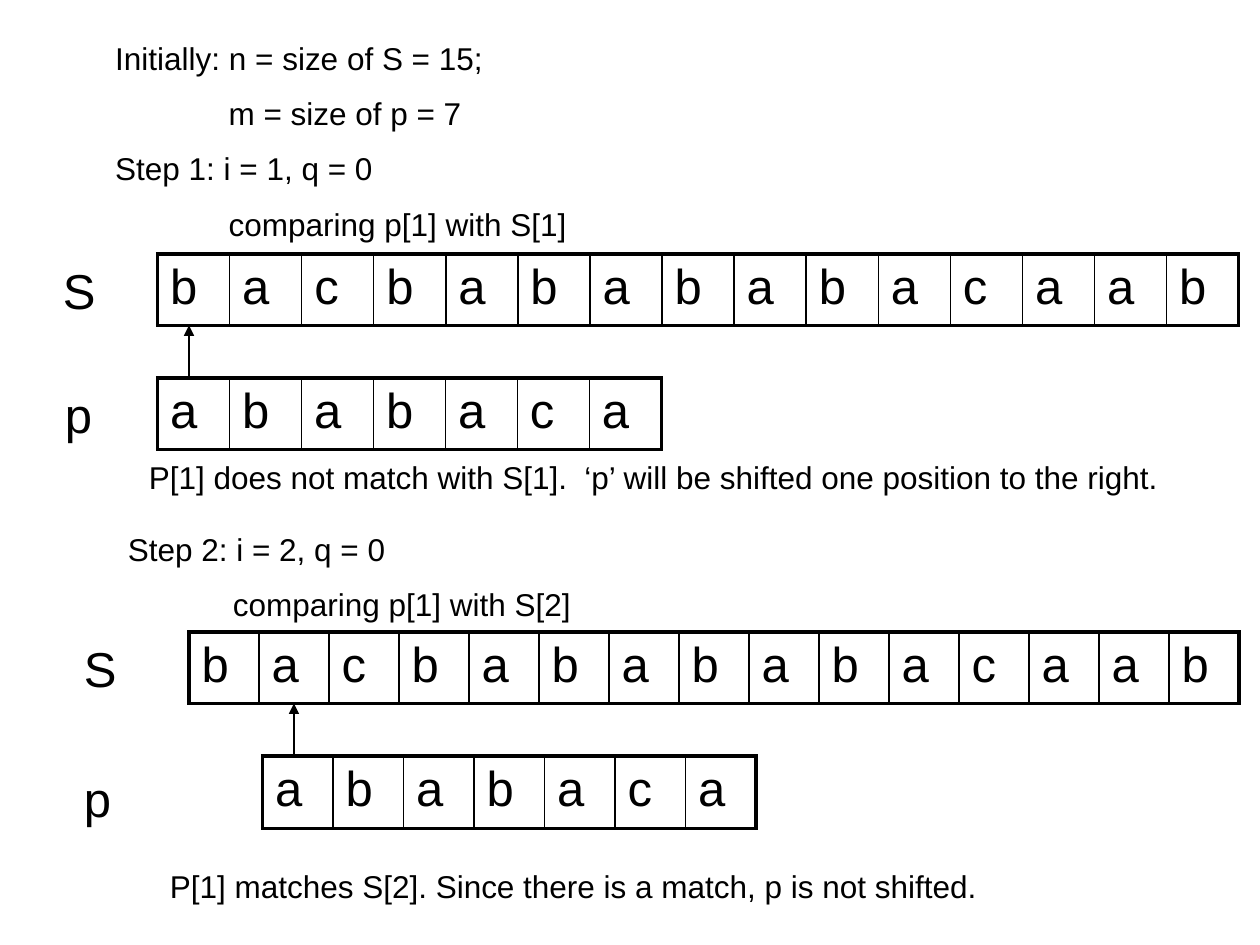
from dataclasses import dataclass

from lxml import etree
from pptx import Presentation
from pptx import util as u
from pptx.dml.color import RGBColor
from pptx.enum import shapes, text
from pptx.oxml import ns


@dataclass(frozen=True)
class Theme:
    font: str = "Arial"
    ink: str = "000000"
    body: int = 18
    symbol: int = 28
    paragraph_gap: int = 10
    outer_border: float = 2.25
    inner_border: float = 1
    arrow: float = 0.75


THEME = Theme()
TEXT_S = "bacbababababacaab"[:8] + "abacaab"
PATTERN = "ababaca"


def grid(units):
    return u.Inches(units / 12)


def style(para, size):
    para.font.name = THEME.font
    para.font.size = u.Pt(size)
    para.font.color.rgb = RGBColor.from_string(THEME.ink)


def add_text(page, left, top, width, height, lines, size=THEME.body, wrap=True):
    box = page.shapes.add_textbox(*map(grid, (left, top, width, height)))
    frame = box.text_frame
    frame.word_wrap = wrap
    frame.auto_size = text.MSO_AUTO_SIZE.SHAPE_TO_FIT_TEXT
    for index, (line, indent) in enumerate(lines):
        para = frame.paragraphs[0] if index == 0 else frame.add_paragraph()
        para.text = line
        if indent:
            para._p.get_or_add_pPr().set("marL", str(grid(indent)))
        if index:
            para.space_before = u.Pt(THEME.paragraph_gap)
        style(para, size)


def add_label(page, left, top, letter):
    add_text(page, left, top, 5.4, 6.9, [(letter, 0)], THEME.symbol, wrap=False)


def set_borders(cell, first, last):
    outer, inner = THEME.outer_border, THEME.inner_border
    borders = {
        "a:lnL": outer if first else inner,
        "a:lnR": outer if last else inner,
        "a:lnT": outer,
        "a:lnB": outer,
    }
    properties = cell._tc.get_or_add_tcPr()
    for index, (tag, weight) in enumerate(borders.items()):
        line = etree.Element(ns.qn(tag), w=str(u.Pt(weight)))
        fill = etree.SubElement(line, ns.qn("a:solidFill"))
        etree.SubElement(fill, ns.qn("a:srgbClr"), val=THEME.ink)
        properties.insert(index, line)


def add_array(page, left, top, width, letters, height=6.5):
    frame = page.shapes.add_table(1, len(letters), *map(grid, (left, top, width, height)))
    table = frame.table
    table.first_row = table.horz_banding = False
    for index, letter in enumerate(letters):
        table.columns[index].width = grid(width / len(letters))
        cell = table.cell(0, index)
        cell.fill.background()
        set_borders(cell, index == 0, index == len(letters) - 1)
        cell.text = letter
        style(cell.text_frame.paragraphs[0], THEME.symbol)


def add_arrow(page, column, start, end):
    ends = map(grid, (column, start, column, end))
    arrow = page.shapes.add_connector(shapes.MSO_CONNECTOR.STRAIGHT, *ends)
    arrow.line.color.rgb = RGBColor.from_string(THEME.ink)
    arrow.line.width = u.Pt(THEME.arrow)
    etree.SubElement(arrow.line._get_or_add_ln(), ns.qn("a:tailEnd"), type="triangle")
    etree.SubElement(arrow._element.spPr, ns.qn("a:effectLst"))


def main():
    deck = Presentation()
    deck.slide_width, deck.slide_height = grid(120), grid(90)
    page = deck.slides.add_slide(deck.slide_layouts[6])

    add_text(page, 9.8, 3.1, 48, 21.2, [
        ("Initially: n = size of S = 15;", 0),
        ("m = size of p = 7", 10.8),
        ("Step 1: i = 1, q = 0", 0),
        ("comparing p[1] with S[1]", 10.8),
    ])
    add_label(page, 4.8, 24.2, "S")
    add_array(page, 15, 24.2, 103, TEXT_S)
    add_arrow(page, 18, 36, 31)
    add_label(page, 5, 36, "p")
    add_array(page, 15, 36, 48, PATTERN)
    add_text(page, 13, 43, 101, 10.2, [
        ("P[1] does not match with S[1].  ‘p’ will be shifted one position to the right.", 0),
    ])

    add_text(page, 11, 49.9, 46, 8.4, [
        ("Step 2: i = 2, q = 0", 0),
        ("comparing p[1] with S[2]", 10),
    ])
    add_label(page, 6.8, 60.2, "S")
    add_array(page, 18, 60.2, 100, TEXT_S)
    add_arrow(page, 28, 72, 67)
    add_label(page, 6.8, 72.6, "p")
    add_array(page, 25, 72, 47, PATTERN, height=6.9)
    add_text(page, 15, 82, 81, 4.8, [
        ("P[1] matches S[2]. Since there is a match, p is not shifted.", 0),
    ])
    deck.save("out.pptx")


if __name__ == "__main__":
    main()
